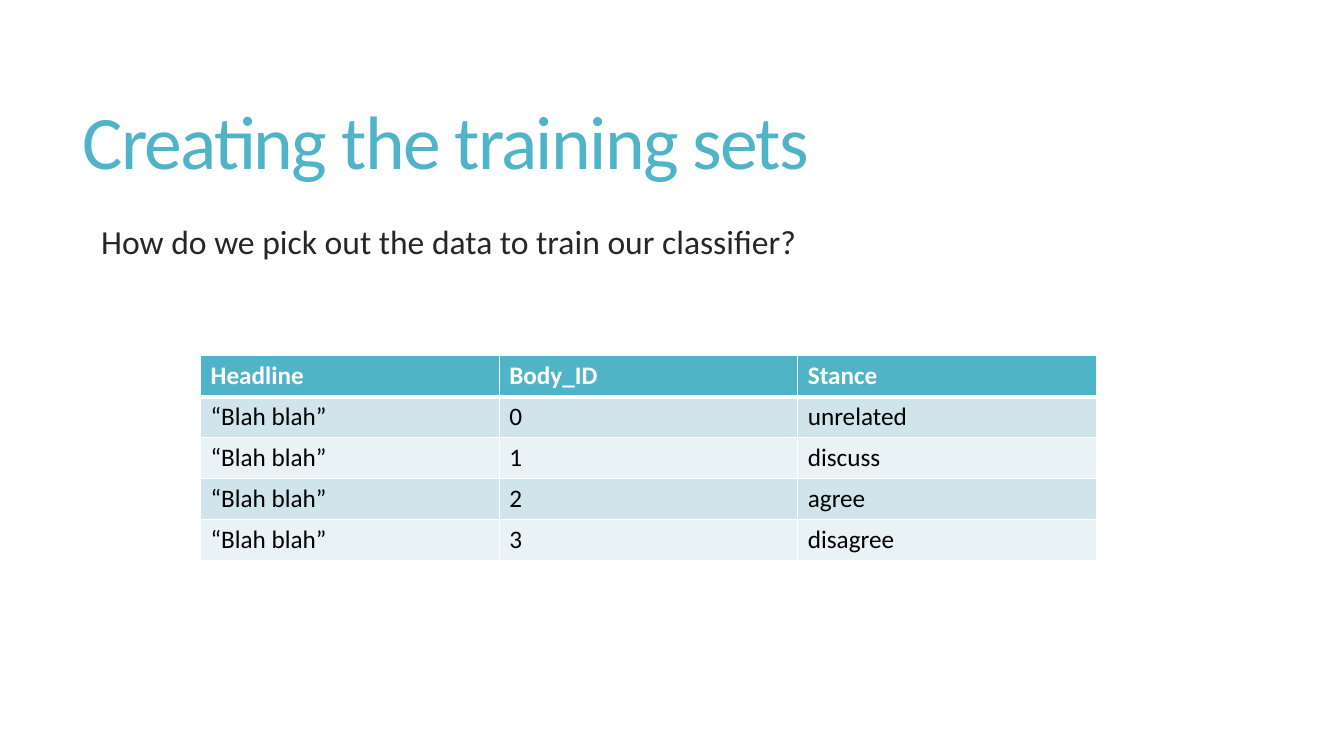
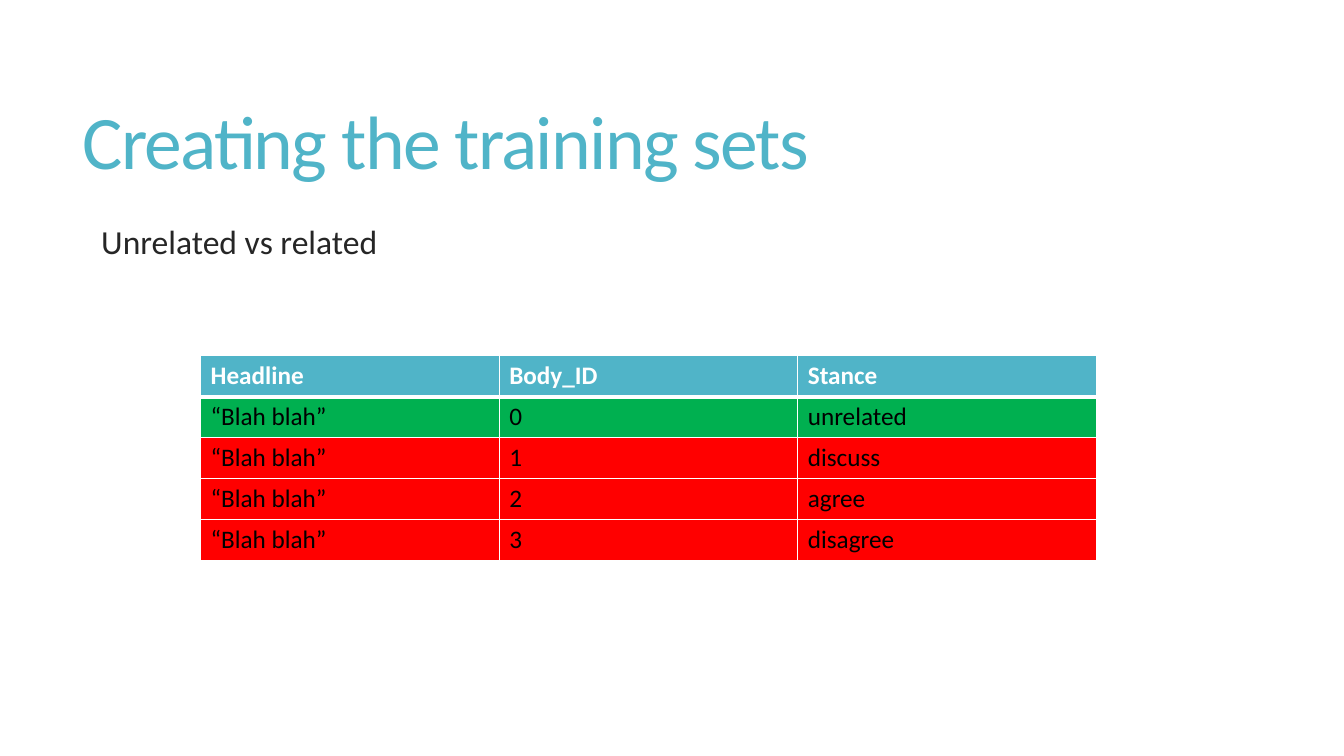
"""Build two slides on choosing the training sets."""
from dataclasses import dataclass

import lxml.etree
import pptx
import pptx.dml.color
import pptx.enum.text
import pptx.oxml.ns
import pptx.slide
import pptx.table
import pptx.text.text
import pptx.util

Pt = pptx.util.Pt
qn = pptx.oxml.ns.qn
ANCHOR = pptx.enum.text.MSO_ANCHOR


@dataclass(frozen=True)
class Theme:
    """Font, colours and type sizes shared by the slides."""
    font: str = "Calibri"
    accent: str = "50B4C8"
    body: str = "262626"
    white: str = "FFFFFF"
    black: str = "000000"
    band_dark: str = "D0E5EB"
    band_light: str = "E9F2F5"
    green: str = "00B050"
    red: str = "FF0000"
    title_size: float = 54
    body_size: float = 24
    table_size: float = 18
    rule: float = 1
    header_rule: float = 3


@dataclass(frozen=True)
class Box:
    """A rectangle in points."""
    left: float
    top: float
    width: float
    height: float


@dataclass(frozen=True)
class TrainingSlide:
    """A question or split, and the fill of each data row."""
    body: str
    row_fills: tuple[str, ...]


THEME = Theme()
SLIDE_WIDTH, SLIDE_HEIGHT = 960, 540
TITLE = "Creating the training sets"
TITLE_BOX = Box(51.84, 39.6, 848.16, 130.32)
BODY_BOX = Box(53.28, 158.4, 846.72, 296.64)
TABLE_BOX = Box(143.28, 254.16, 639.9, 146)
BODY_INDENT = 7.2
HEADER = ("Headline", "Body_ID", "Stance")
STANCES = ("unrelated", "discuss", "agree", "disagree")
ROWS = [HEADER] + [("“Blah blah”", str(i), stance)
                   for i, stance in enumerate(STANCES)]
SLIDES = (
    TrainingSlide("How do we pick out the data to train our classifier?",
                  (THEME.band_dark, THEME.band_light) * 2),
    TrainingSlide("Unrelated vs related",
                  (THEME.green,) + (THEME.red,) * 3),
)


def rgb(color: str) -> pptx.dml.color.RGBColor:
    """Turn a hex string into a colour."""
    return pptx.dml.color.RGBColor.from_string(color)


def write(tf: pptx.text.text.TextFrame, text: str, *, size: float, color: str,
          bold: bool = False, line_spacing: float = 1, before: float = 0,
          tracking: float = 0, indent: float = 0) -> None:
    """Write one formatted paragraph, with a blank bullet when indented."""
    p = tf.paragraphs[0]
    p.line_spacing = line_spacing
    p.space_before = Pt(before)
    r = p.add_run()
    r.text = text
    r.font.name, r.font.size, r.font.bold = THEME.font, Pt(size), bold
    r.font.color.rgb = rgb(color)
    if tracking:
        r.font._element.set("spc", str(round(tracking * 100)))
    if indent:
        props = p._p.get_or_add_pPr()
        props.set("marL", str(Pt(indent)))
        props.set("indent", str(-Pt(indent)))
        lxml.etree.SubElement(props, qn("a:buChar")).set("char", " ")


def add_text(s: pptx.slide.Slide, box: Box, anchor: ANCHOR) -> pptx.text.text.TextFrame:
    """Add a wrapping text box and return its text frame."""
    sp = s.shapes.add_textbox(Pt(box.left), Pt(box.top),
                              Pt(box.width), Pt(box.height))
    tf = sp.text_frame
    tf.word_wrap = True
    tf.vertical_anchor = anchor
    return tf


def set_borders(cell: pptx.table._Cell, top: float, bottom: float) -> None:
    """Give a cell white borders; call before setting its fill."""
    props = cell._tc.get_or_add_tcPr()
    widths = {"L": THEME.rule, "R": THEME.rule, "T": top, "B": bottom}
    for side, width in widths.items():
        ln = lxml.etree.SubElement(props, qn(f"a:ln{side}"), w=str(Pt(width)))
        fill = lxml.etree.SubElement(ln, qn("a:solidFill"))
        lxml.etree.SubElement(fill, qn("a:srgbClr"), val=THEME.white)


def add_stance_table(s: pptx.slide.Slide, row_fills: tuple[str, ...]) -> None:
    """Draw the header and the coloured data rows."""
    box = TABLE_BOX
    table = s.shapes.add_table(len(ROWS), len(HEADER), Pt(box.left), Pt(box.top),
                               Pt(box.width), Pt(box.height)).table
    table.horz_banding = False
    for i, (values, color) in enumerate(zip(ROWS, (THEME.accent, *row_fills))):
        header = i == 0
        top = THEME.header_rule if i == 1 else THEME.rule
        bottom = THEME.header_rule if header else THEME.rule
        for j, value in enumerate(values):
            cell = table.cell(i, j)
            set_borders(cell, top, bottom)
            cell.fill.solid()
            cell.fill.fore_color.rgb = rgb(color)
            write(cell.text_frame, value, size=THEME.table_size, bold=header,
                  color=THEME.white if header else THEME.black)


def add_training_slide(prs: pptx.presentation.Presentation,
                       content: TrainingSlide) -> None:
    """Add one slide with title, body line and table."""
    s = prs.slides.add_slide(prs.slide_layouts[6])
    write(add_text(s, TITLE_BOX, ANCHOR.MIDDLE), TITLE, size=THEME.title_size,
          color=THEME.accent, line_spacing=0.85, tracking=-1.2)
    write(add_text(s, BODY_BOX, ANCHOR.TOP), content.body, size=THEME.body_size,
          color=THEME.body, line_spacing=0.85, before=13, indent=BODY_INDENT)
    add_stance_table(s, content.row_fills)


def main() -> None:
    """Build and save the presentation."""
    prs = pptx.Presentation()
    prs.slide_width, prs.slide_height = Pt(SLIDE_WIDTH), Pt(SLIDE_HEIGHT)
    for content in SLIDES:
        add_training_slide(prs, content)
    prs.save("out.pptx")


main()
